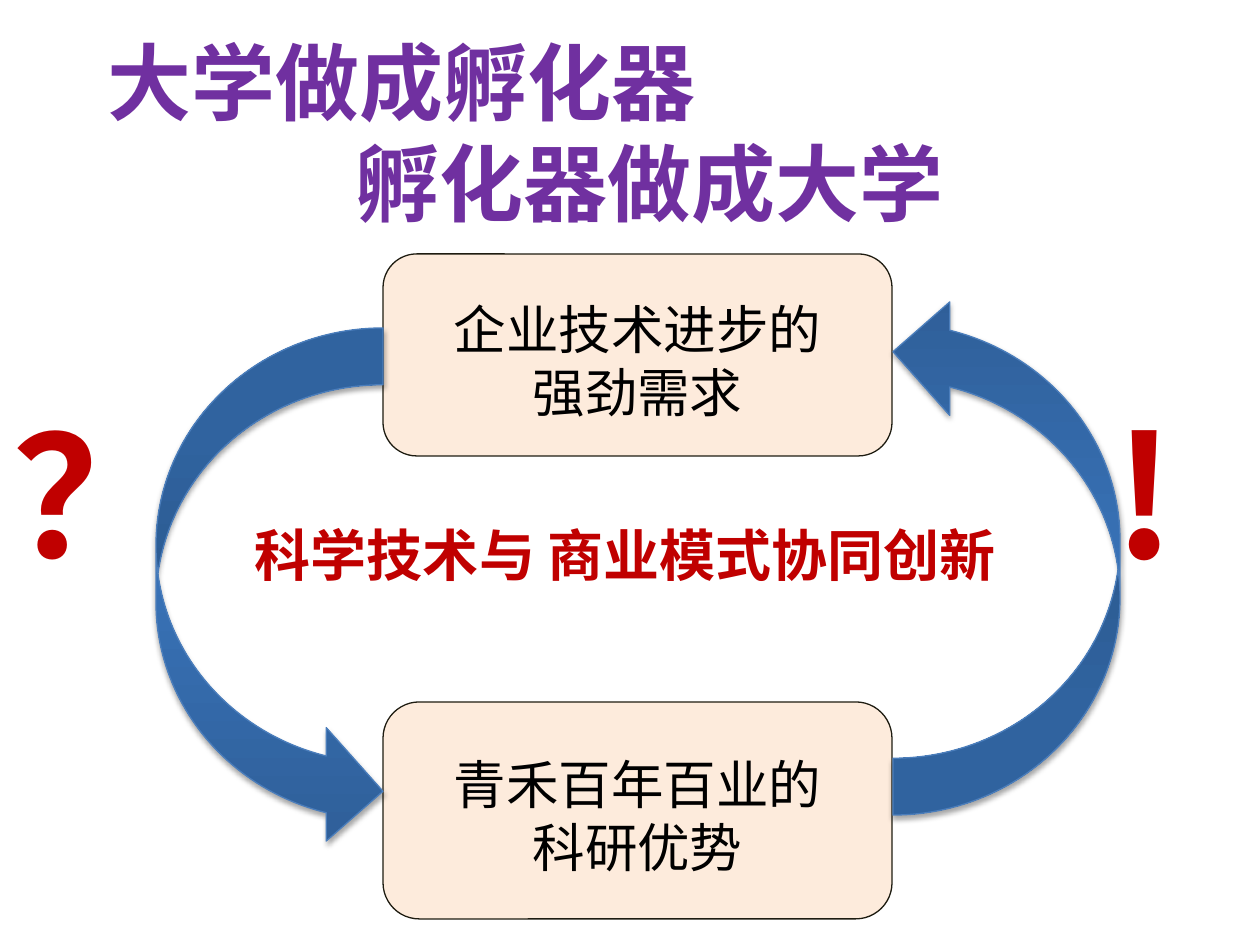
"""Build a slide with two boxes joined in a cycle by curved arrows."""
from dataclasses import dataclass

from lxml.etree import SubElement
from pptx import Presentation
from pptx.dml.color import RGBColor
from pptx.enum.shapes import MSO_SHAPE
from pptx.enum.text import MSO_ANCHOR, PP_ALIGN
from pptx.oxml import parse_xml
from pptx.oxml.ns import nsdecls, qn
from pptx.util import Emu, Pt

EMU_PER_PX = 914400 / 126


@dataclass(frozen=True)
class Theme:
    font: str = "Noto Sans CJK SC"
    title: str = "7030A0"
    accent: str = "C00000"
    body: str = "000000"
    box_fill: str = "FDEADA"
    box_line: str = "1E1C11"
    box_opacity: int = 94
    arrow_line: str = "4B7EBC"
    arrow_stops: tuple = ((0, "2F5F99"), (80, "3D7CC7"), (100, "3A7CCB"))
    title_size: int = 48
    body_size: int = 30
    slogan_size: int = 32
    mark_size: int = 96


def px(length):
    return Emu(round(length * EMU_PER_PX))


def write_text(frame, text, *, font, size, color, bold=False, align=PP_ALIGN.LEFT,
               leading=None, indents=()):
    for index, line in enumerate(text.split("\n")):
        para = frame.paragraphs[0] if index == 0 else frame.add_paragraph()
        para.alignment = align
        if leading:
            para.line_spacing = Pt(leading * size)
        if indents:
            properties = para._p.get_or_add_pPr()
            properties.set("marL", str(px(indents[index])))
            properties.set("indent", "0")
        span = para.add_run()
        span.text = line
        span.font.name = font
        span.font.size = Pt(size)
        span.font.bold = bold
        span.font.color.rgb = RGBColor.from_string(color)
        SubElement(span.font._element, qn("a:ea"), typeface=font)


class SlideBuilder:
    def __init__(self, page, theme):
        self.page = page
        self.theme = theme

    def shape(self, kind, left, top, width, height, line):
        shape = self.page.shapes.add_shape(kind, px(left), px(top), px(width), px(height))
        shape.shadow.inherit = False
        shape.line.color.rgb = RGBColor.from_string(line)
        shape.line.width = Pt(0.75)
        return shape

    def box(self, text, left, top, width, height):
        theme = self.theme
        box = self.shape(MSO_SHAPE.ROUNDED_RECTANGLE, left, top, width, height, theme.box_line)
        box.fill.solid()
        box.fill.fore_color.rgb = RGBColor.from_string(theme.box_fill)
        color = box._element.spPr.find(qn("a:solidFill"))[0]
        SubElement(color, qn("a:alpha"), val=str(theme.box_opacity * 1000))
        frame = box.text_frame
        frame.word_wrap = True
        frame.vertical_anchor = MSO_ANCHOR.MIDDLE
        frame.margin_top, frame.margin_bottom = px(10), 0
        write_text(frame, text, font=theme.font, size=theme.body_size, color=theme.body,
                   align=PP_ALIGN.CENTER, leading=1.2)

    def arrow(self, left, top, width, height, rotation=0):
        theme = self.theme
        arrow = self.shape(MSO_SHAPE.CURVED_RIGHT_ARROW, left, top, width, height,
                           theme.arrow_line)
        arrow.rotation = rotation
        arrow.fill.background()
        properties = arrow._element.spPr
        stops = "".join(f'<a:gs pos="{position * 1000}"><a:srgbClr val="{color}"/></a:gs>'
                        for position, color in theme.arrow_stops)
        gradient = parse_xml(
            f'<a:gradFill {nsdecls("a")} rotWithShape="1"><a:gsLst>{stops}</a:gsLst>'
            '<a:lin ang="16200000" scaled="0"/></a:gradFill>')
        properties.replace(properties.find(qn("a:noFill")), gradient)
        properties.find(qn("a:effectLst")).append(parse_xml(
            f'<a:outerShdw {nsdecls("a")} blurRad="{Pt(3.1)}" dist="{Pt(1.8)}" dir="5400000" '
            'rotWithShape="0"><a:srgbClr val="000000"><a:alpha val="35000"/></a:srgbClr>'
            '</a:outerShdw>'))

    def label(self, text, left, top, width, height, **text_format):
        label = self.page.shapes.add_textbox(px(left), px(top), px(width), px(height))
        frame = label.text_frame
        frame.word_wrap = True
        frame.margin_left = frame.margin_right = frame.margin_top = frame.margin_bottom = 0
        write_text(frame, text, font=self.theme.font, bold=True, **text_format)


def main():
    deck = Presentation()
    deck.slide_width, deck.slide_height = px(1260), px(945)
    theme = Theme()
    builder = SlideBuilder(deck.slides.add_slide(deck.slide_layouts[6]), theme)

    builder.box("企业技术进步的\n强劲需求", 383, 254, 509, 202)
    builder.box("青禾百年百业的\n科研优势", 383, 702, 509, 217)
    builder.arrow(156, 328, 227, 520)
    builder.arrow(893, 295, 227, 520, rotation=180)

    mark = {"size": theme.mark_size, "color": theme.accent}
    builder.label("？", 13, 390, 180, 245, **mark)
    builder.label("科学技术与 商业模式协同创新", 255, 520, 800, 82,
                  size=theme.slogan_size, color=theme.accent)
    builder.label("!", 1114, 390, 90, 245, **mark)
    builder.label("大学做成孵化器\n孵化器做成大学", 108, 31, 1100, 202,
                  size=theme.title_size, color=theme.title, leading=1.2, indents=(0, 248))
    deck.save("out.pptx")


if __name__ == "__main__":
    main()
